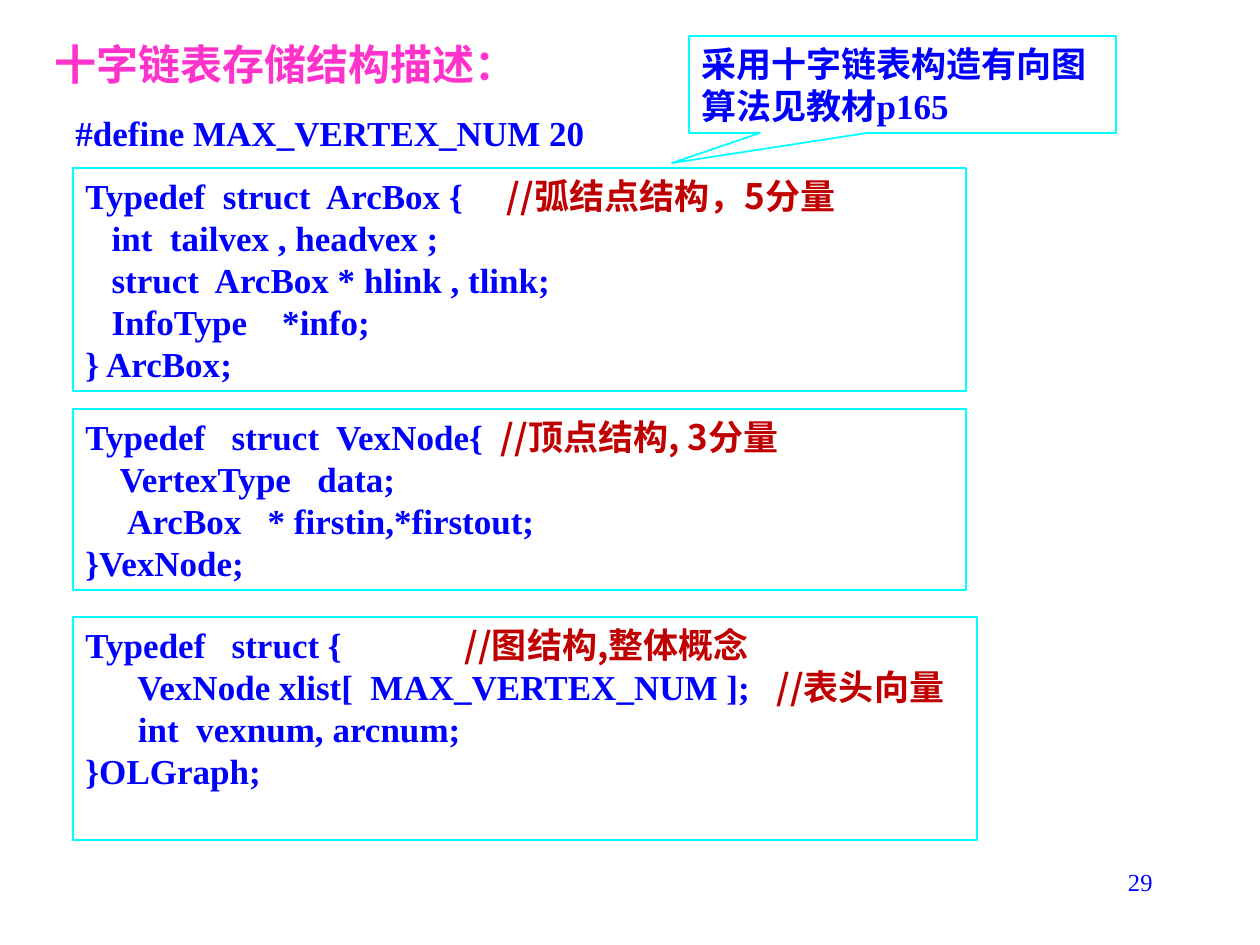
from dataclasses import dataclass

from lxml.etree import SubElement
from pptx import Presentation
from pptx.dml.color import RGBColor as RGB
from pptx.enum.shapes import MSO_SHAPE as SHAPE
from pptx.enum.text import MSO_ANCHOR as ANCHOR, MSO_AUTO_SIZE as AUTO, PP_ALIGN as ALIGN
from pptx.oxml.ns import qn
from pptx.util import Emu, Pt

EMU_PER_PX = 914400 / 126


@dataclass(frozen=True)
class Theme:
    code: RGB = RGB(0x00, 0x00, 0xFF)
    comment: RGB = RGB(0xC0, 0x00, 0x00)
    title: RGB = RGB(0xFF, 0x33, 0xCC)
    border: RGB = RGB(0x00, 0xFF, 0xFF)
    latin: str = "Times New Roman"
    chinese: str = "Noto Sans CJK SC"
    title_size: int = 24
    body_size: int = 20
    number_size: int = 14


THEME = Theme()


def px(*lengths):
    return [Emu(round(length * EMU_PER_PX)) for length in lengths]


def write(shape, text, size=THEME.body_size, color=THEME.code, bold=True,
          align=ALIGN.LEFT, anchor=ANCHOR.TOP):
    """Fill a shape with one paragraph per line; // starts a comment run."""
    frame = shape.text_frame
    frame.word_wrap = True
    frame.auto_size = AUTO.NONE
    frame.vertical_anchor = anchor
    for index, line in enumerate(text.split("\n")):
        paragraph = frame.add_paragraph() if index else frame.paragraphs[0]
        paragraph.alignment = align
        code, slashes, comment = line.partition("//")
        for words, face, ink in ((code, THEME.latin, color),
                                 (slashes + comment, THEME.chinese, THEME.comment)):
            if not words:
                continue
            run = paragraph.add_run()
            run.text = words
            run.font.name = face
            run.font.size = Pt(size)
            run.font.bold = bold
            run.font.color.rgb = ink
            SubElement(run.font._element, qn("a:ea"), typeface=THEME.chinese)


prs = Presentation()
prs.slide_width, prs.slide_height = px(1260, 945)
slide = prs.slides.add_slide(prs.slide_layouts[5])

title = slide.shapes.title
title.left, title.top, title.width, title.height = px(42, 32, 567, 63)
write(title, "十字链表存储结构描述：", size=THEME.title_size, color=THEME.title,
      anchor=ANCHOR.MIDDLE)

page_number = slide.shapes.add_textbox(*px(903, 861, 262, 63))
write(page_number, "29", size=THEME.number_size, bold=False, align=ALIGN.RIGHT)

define = slide.shapes.add_textbox(*px(63, 105, 903, 55))
write(define, "#define MAX_VERTEX_NUM 20")

ARC_BOX = """Typedef  struct  ArcBox {     //弧结点结构，5分量
   int  tailvex , headvex ;
   struct  ArcBox * hlink , tlink;
   InfoType    *info;
} ArcBox;"""

VEX_NODE = """Typedef   struct  VexNode{  //顶点结构, 3分量
    VertexType   data;
     ArcBox   * firstin,*firstout;
}VexNode;"""

GRAPH = """Typedef   struct {              //图结构,整体概念
      VexNode xlist[  MAX_VERTEX_NUM ];   //表头向量
      int  vexnum, arcnum;
}OLGraph;"""

for kind, bounds, text in (
    (SHAPE.RECTANGLE, (73, 168, 893, 223), ARC_BOX),
    (SHAPE.RECTANGLE, (73, 409, 893, 181), VEX_NODE),
    (SHAPE.RECTANGLE, (73, 617, 904, 223), GRAPH),
    (SHAPE.RECTANGULAR_CALLOUT, (689, 36, 427, 97), "采用十字链表构造有向图算法见教材p165"),
):
    panel = slide.shapes.add_shape(kind, *px(*bounds))
    panel.shadow.inherit = False
    panel.fill.background()
    panel.line.color.rgb = THEME.border
    panel.line.width = Pt(1)
    if kind == SHAPE.RECTANGULAR_CALLOUT:
        panel.adjustments[0], panel.adjustments[1] = -0.54, 0.81
    write(panel, text)

prs.save("out.pptx")
